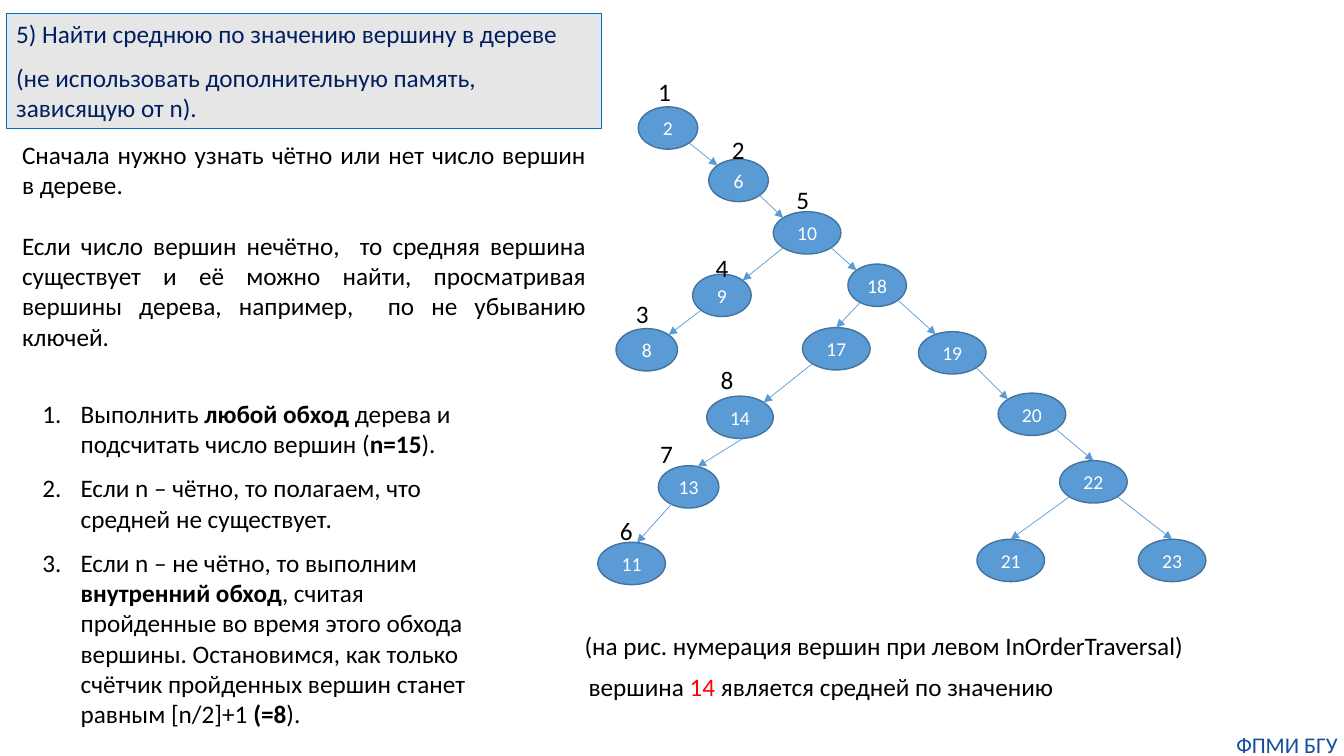
import math
from dataclasses import dataclass

import lxml.etree
import pptx
import pptx.dml.color
import pptx.enum.shapes
import pptx.enum.text
import pptx.oxml.ns
import pptx.util

Inches, Pt = pptx.util.Inches, pptx.util.Pt
ALIGN, ANCHOR = pptx.enum.text.PP_ALIGN, pptx.enum.text.MSO_ANCHOR
qn = pptx.oxml.ns.qn
rgb = pptx.dml.color.RGBColor.from_string


@dataclass(frozen=True)
class Theme:
    font: str = "Calibri"
    text_size: int = 18
    node_size: int = 14
    footer_size: int = 16
    black: str = "000000"
    white: str = "FFFFFF"
    red: str = "FF0000"
    task_text: str = "002060"
    task_fill: str = "E7E6E6"
    task_line: str = "0070C0"
    node_fill: str = "5B9BD5"
    node_line: str = "43739E"
    footer: str = "144E9D"


theme = Theme()


def write(shape, paragraphs, size=theme.text_size, color=theme.black, align=ALIGN.LEFT,
          anchor=ANCHOR.TOP, gap=0, wrap=True, inset=None, numbered=False):
    """Each paragraph is a list of runs: (text, bold, colour or None)."""
    frame = shape.text_frame
    frame.auto_size = pptx.enum.text.MSO_AUTO_SIZE.NONE
    frame.word_wrap = wrap
    frame.vertical_anchor = anchor
    if inset is not None:
        frame.margin_left = frame.margin_right = Inches(inset)
        frame.margin_top = frame.margin_bottom = Inches(inset)
    for number, runs in enumerate(paragraphs):
        paragraph = frame.add_paragraph() if number else frame.paragraphs[0]
        paragraph.alignment = align
        paragraph.space_before = Pt(gap if number else 0)
        if numbered:
            properties = paragraph._p.get_or_add_pPr()
            properties.set("marL", str(Inches(0.38)))
            properties.set("indent", str(Inches(-0.38)))
            lxml.etree.SubElement(properties, qn("a:buFont"), typeface="+mj-lt")
            lxml.etree.SubElement(properties, qn("a:buAutoNum"), type="arabicPeriod")
        for text, bold, run_color in runs:
            run = paragraph.add_run()
            run.text = text
            run.font.name = theme.font
            run.font.size = Pt(size)
            run.font.bold = bold
            run.font.color.rgb = rgb(run_color or color)


def place(shape, left, top, width, height):
    shape.left, shape.top = Inches(left), Inches(top)
    shape.width, shape.height = Inches(width), Inches(height)


deck = pptx.Presentation()
deck.slide_width, deck.slide_height = Inches(13.33), Inches(7.5)
slide = deck.slides.add_slide(deck.slide_layouts[1])
shapes = slide.shapes

# Task statement
task = shapes.title
place(task, 0.06, 0.13, 5.91, 1.15)
task.fill.solid()
task.fill.fore_color.rgb = rgb(theme.task_fill)
task.line.color.rgb = rgb(theme.task_line)
task.line.width = Pt(0.75)
write(task, [
    [("5) Найти среднюю по значению вершину в дереве", False, None)],
    [("(не использовать дополнительную память, зависящую от n).", False, None)],
], color=theme.task_text, gap=10)

# Algorithm steps
steps = slide.placeholders[1]
place(steps, 0.32, 3.9, 4.62, 3.41)
write(steps, [
    [("Выполнить ", False, None), ("любой обход", True, None),
     (" дерева и подсчитать число вершин (", False, None),
     ("n=15", True, None), (").", False, None)],
    [("Если n – чётно, то полагаем, что средней не существует.", False, None)],
    [("Если n – не чётно, то выполним ", False, None), ("внутренний обход", True, None),
     (", считая пройденные во время этого обхода вершины. Остановимся, как только "
      "счётчик пройденных вершин станет равным [n/2]+1 ", False, None),
     ("(=8", True, None), (").", False, None)],
], gap=10, numbered=True)

# Introduction
intro = shapes.add_textbox(Inches(0.12), Inches(1.33), Inches(5.79), Inches(2.22))
write(intro, [
    [("Сначала нужно узнать чётно или нет число вершин в дереве.", False, None)],
    [("Если число вершин нечётно,  то средняя вершина существует и её можно найти, "
      "просматривая вершины дерева, например,  по не убыванию ключей.", False, None)],
], align=ALIGN.JUSTIFY, gap=22)

# Tree nodes: key -> left, top, width
node_height = 0.42
node_places = {
    2: (6.33, 1.06, 0.59), 6: (7.03, 1.58, 0.59), 10: (7.67, 2.1, 0.67),
    9: (6.87, 2.72, 0.58), 8: (6.11, 3.26, 0.61), 18: (8.41, 2.62, 0.58),
    17: (7.96, 3.25, 0.67), 14: (7.01, 3.93, 0.66), 13: (6.53, 4.62, 0.6),
    11: (5.93, 5.38, 0.67), 19: (9.11, 3.29, 0.67), 20: (9.9, 3.9, 0.67),
    22: (10.51, 4.57, 0.67), 21: (9.69, 5.35, 0.67), 23: (11.29, 5.35, 0.67),
}
nodes = {}
for key, (left, top, width) in node_places.items():
    node = shapes.add_shape(pptx.enum.shapes.MSO_SHAPE.OVAL, Inches(left), Inches(top),
                            Inches(width), Inches(node_height))
    node.shadow.inherit = False
    node.fill.solid()
    node.fill.fore_color.rgb = rgb(theme.node_fill)
    node.line.color.rgb = rgb(theme.node_line)
    node.line.width = Pt(1)
    write(node, [[(str(key), False, None)]], size=theme.node_size, color=theme.white,
          align=ALIGN.CENTER, anchor=ANCHOR.MIDDLE, inset=0)
    nodes[key] = node

# Tree edges: parent, child, then where each end sits across its oval, from -1 to 1
diagonal = 0.71
edges = [
    (2, 6, diagonal, -diagonal), (6, 10, diagonal, -diagonal),
    (10, 9, -diagonal, diagonal), (10, 18, diagonal, -diagonal),
    (9, 8, -diagonal, diagonal), (18, 17, -0.58, 0), (18, 19, diagonal, -0.49),
    (17, 14, -diagonal, diagonal), (14, 13, 0.09, 0.3), (13, 11, -0.57, 0.16),
    (19, 20, diagonal, -diagonal), (20, 22, diagonal, 0),
    (22, 21, -diagonal, 0), (22, 23, diagonal, 0),
]
for parent, child, start, finish in edges:
    ends = []
    for key, across, side in ((parent, start, 1), (child, finish, -1)):
        left, top, width = node_places[key]
        ends.append(Inches(left + width / 2 * (1 + across)))
        ends.append(Inches(top + node_height / 2 * (1 + side * math.sqrt(1 - across ** 2))))
    edge = shapes.add_connector(pptx.enum.shapes.MSO_CONNECTOR.STRAIGHT, *ends)
    if finish == 0:
        edge.end_connect(nodes[child], 0)
    edge.line.color.rgb = rgb(theme.node_fill)
    edge.line.width = Pt(0.5)
    lxml.etree.SubElement(edge.line._get_or_add_ln(), qn("a:tailEnd"), type="triangle")
    lxml.etree.SubElement(edge._element.spPr, qn("a:effectLst"))

# Visiting order
order_places = [(6.43, 0.71), (7.16, 1.28), (6.21, 2.91), (7, 2.45),
                (7.8, 1.78), (6.05, 5.06), (6.45, 4.3), (7.05, 3.57)]
for order, (left, top) in enumerate(order_places, start=1):
    visit = shapes.add_textbox(Inches(left), Inches(top), Inches(0.33), Inches(0.4))
    write(visit, [[(str(order), False, None)]], wrap=False)

# Conclusions under the tree
caption = shapes.add_textbox(Inches(5.7), Inches(6.2), Inches(6.26), Inches(0.4))
write(caption, [[("(на рис. нумерация вершин при левом InOrderTraversal)", False, None)]])
answer = shapes.add_textbox(Inches(5.74), Inches(6.61), Inches(4.86), Inches(0.4))
write(answer, [[("вершина ", False, None), ("14", False, theme.red),
                (" является средней по значению", False, None)]], wrap=False)

# Footer
footer = shapes.add_textbox(Inches(12.2), Inches(7.25), Inches(1.13), Inches(0.27))
write(footer, [[("ФПМИ БГУ", False, None)]], size=theme.footer_size, color=theme.footer,
      align=ALIGN.CENTER, inset=0)

deck.save("out.pptx")
